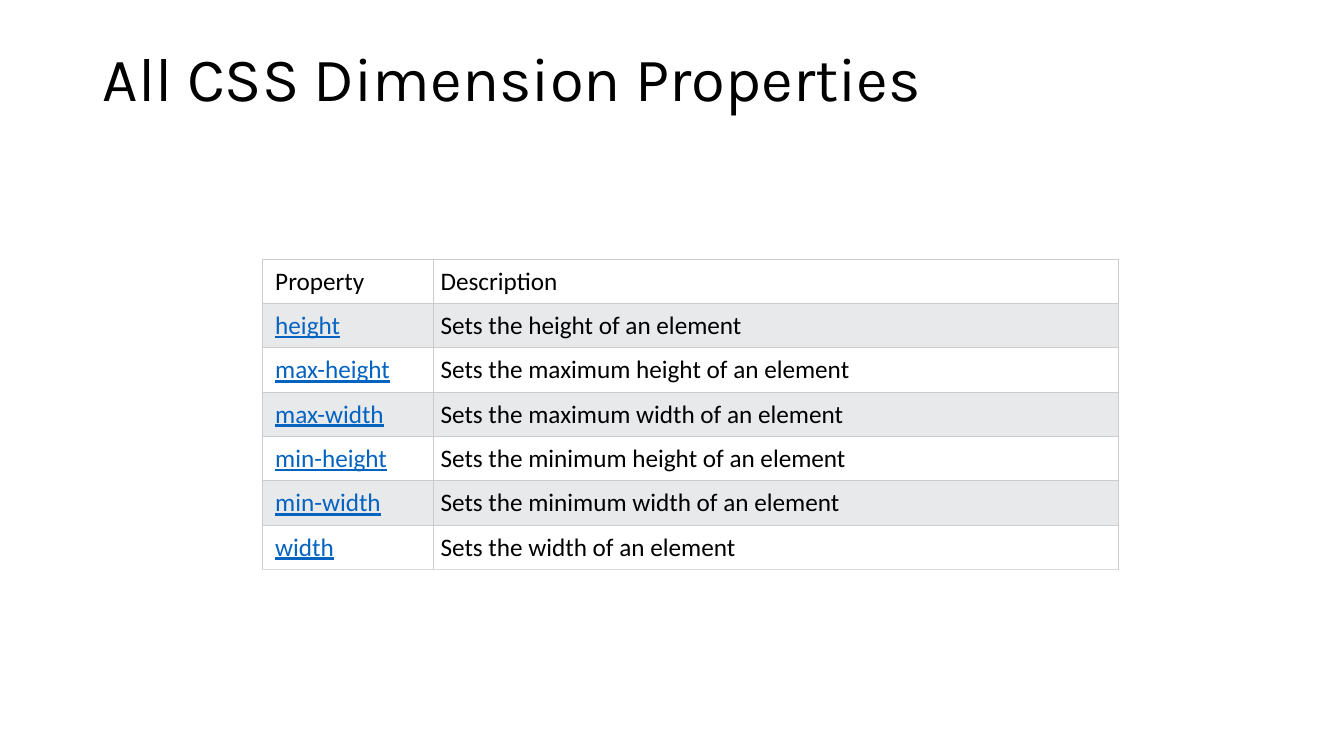
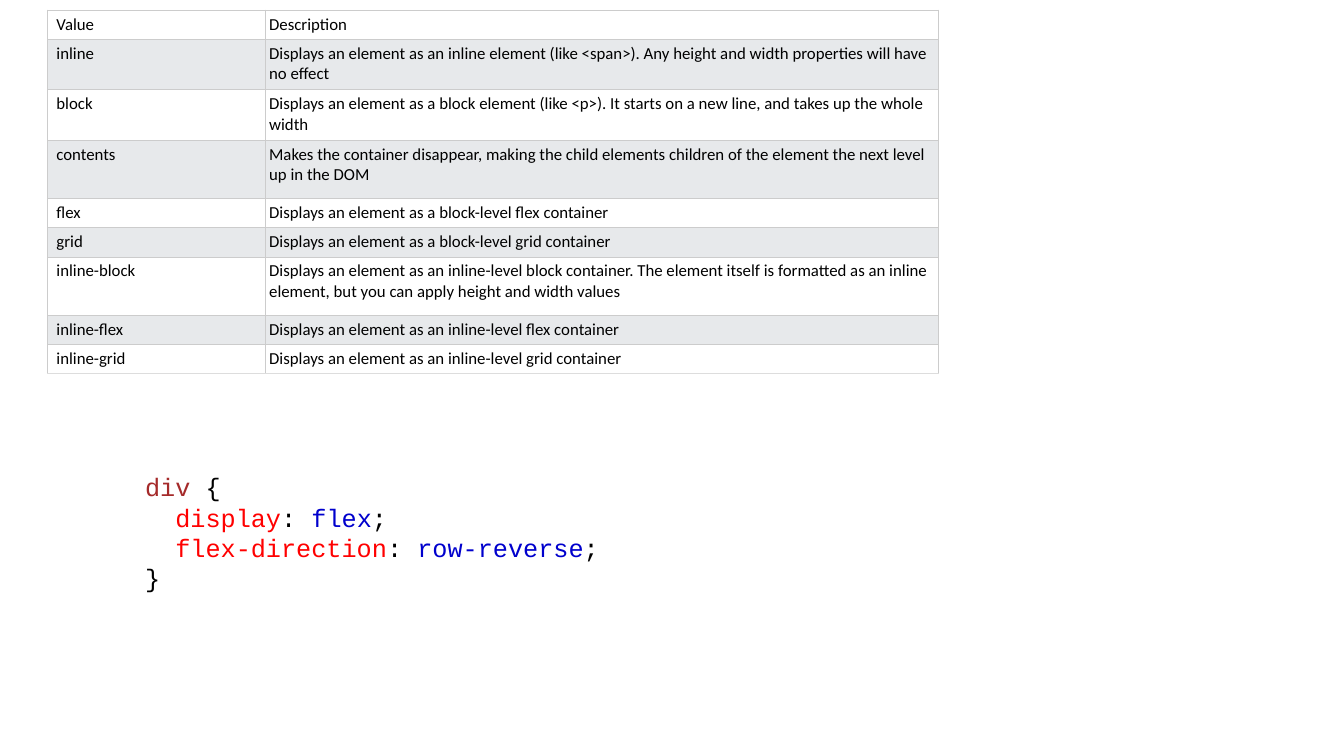
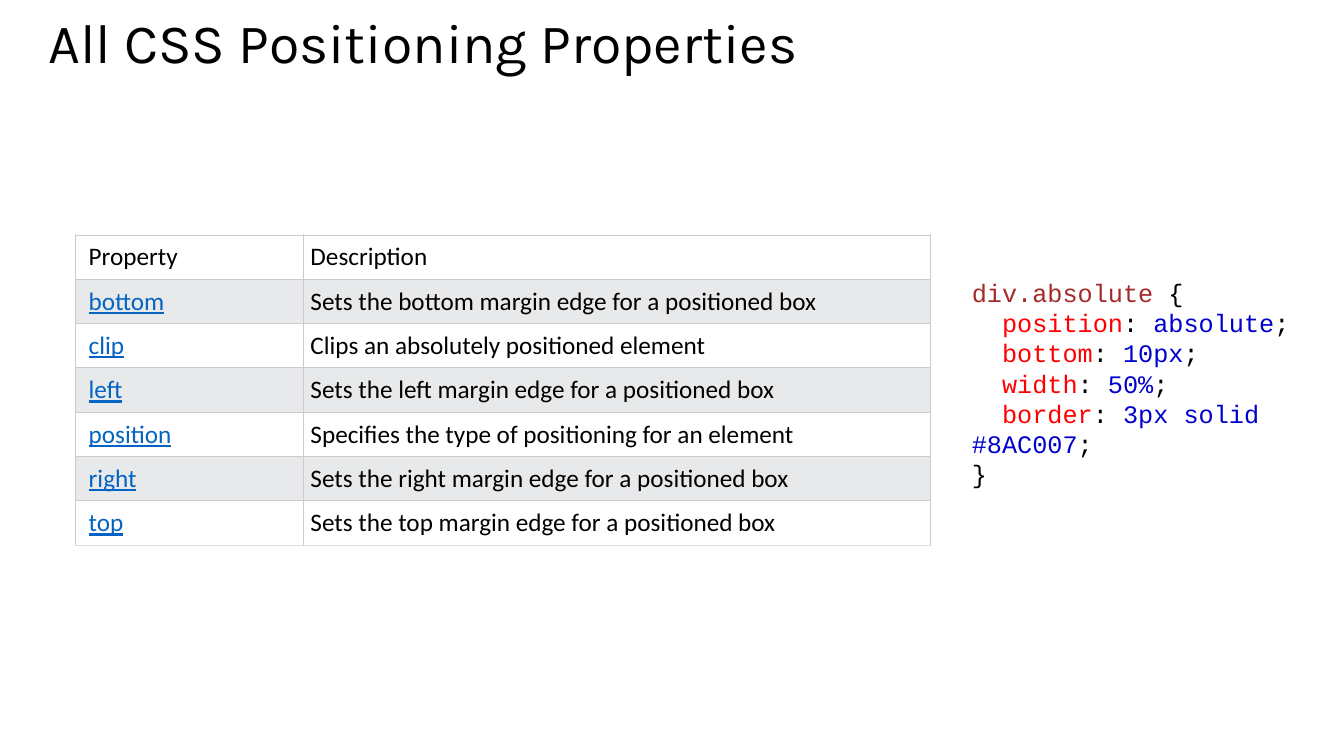
from lxml.etree import SubElement
from pptx import Presentation
from pptx.dml.color import RGBColor
from pptx.enum.text import MSO_AUTO_SIZE as AutoSize
from pptx.oxml.ns import qn
from pptx.util import Emu, Pt

PX = 9144  # 100 px to the inch
COLORS = {
    "text": "000000", "link": "0563C1", "white": "FFFFFF", "band": "E7E9EB",
    "border": "CCCCCC", "last_border": "DDDDDD",
    "selector": "A52A2A", "property": "FF0000", "value": "0000CD",
}
BODY, CODE, TITLE = "Calibri", "Courier New", "Karla"


def px(n):
    return Emu(n * PX)


def rgb(name):
    return RGBColor.from_string(COLORS[name])


def add_text(p, text, size=18, font=BODY, color="text", underline=None):
    r = p.add_run()
    r.text = text
    r.font.size = Pt(size)
    r.font.name = font
    r.font.color.rgb = rgb(color)
    r.font.underline = underline


def set_margins(target, left, top, right, bottom):
    target.margin_left, target.margin_top = px(left), px(top)
    target.margin_right, target.margin_bottom = px(right), px(bottom)


def add_box(s, box):
    tf = s.shapes.add_textbox(*map(px, box)).text_frame
    tf.word_wrap = True
    return tf


def add_title(s, box, text, size=44, top=0):
    tf = add_box(s, box)
    set_margins(tf, 10, top, 10, 5)
    p = tf.paragraphs[0]
    p.line_spacing = 0.9
    add_text(p, text, size, TITLE)


def set_borders(cell, bottom):
    tc_pr = cell._tc.get_or_add_tcPr()
    for side in "LRTB":
        ln = SubElement(tc_pr, qn(f"a:ln{side}"), w=str(Pt(0.6)))
        fill = SubElement(ln, qn("a:solidFill"))
        color = COLORS[bottom if side == "B" else "border"]
        SubElement(fill, qn("a:srgbClr"), val=color)


def add_grid(s, left, top, col_widths, rows, heights, size=18,
             margins=(7, 7, 7, 6), indent=13, links=False):
    """Banded two-column table; links styles the names below the header."""
    tbl = s.shapes.add_table(len(rows), len(col_widths), px(left), px(top),
                             px(sum(col_widths)), px(sum(heights))).table
    tbl.first_row = tbl.horz_banding = False
    for col, width in zip(tbl.columns, col_widths):
        col.width = px(width)
    for i, (row, height) in enumerate(zip(rows, heights)):
        tbl.rows[i].height = px(height)
        for j, text in enumerate(row):
            cell = tbl.cell(i, j)
            set_margins(cell, *(margins if j else (indent, *margins[1:])))
            last = i == len(rows) - 1
            set_borders(cell, "last_border" if last else "border")
            cell.fill.solid()
            cell.fill.fore_color.rgb = rgb("band" if i % 2 else "white")
            linked = links and i > 0 and j == 0
            add_text(cell.text_frame.paragraphs[0], text, size,
                     color="link" if linked else "text",
                     underline=linked or None)


def add_css_rule(s, box, selector, declarations):
    tf = add_box(s, box)
    tf.auto_size = AutoSize.SHAPE_TO_FIT_TEXT
    lines = [[(selector + " ", "selector"), ("{", "text")]]
    for prop, value in declarations.items():
        lines.append([("  " + prop, "property"), (":", "text"),
                      (" " + value, "value"), (";", "text")])
    lines.append([("}", "text")])
    for i, line in enumerate(lines):
        p = tf.add_paragraph() if i else tf.paragraphs[0]
        for text, color in line:
            add_text(p, text, font=CODE, color=color)


def dimension_slide(s):
    add_title(s, (92, 40, 1150, 145), "All CSS Dimension Properties", top=8)
    rows = [
        ("Property", "Description"),
        ("height", "Sets the height of an element"),
        ("max-height", "Sets the maximum height of an element"),
        ("max-width", "Sets the maximum width of an element"),
        ("min-height", "Sets the minimum height of an element"),
        ("min-width", "Sets the minimum width of an element"),
        ("width", "Sets the width of an element"),
    ]
    add_grid(s, 260, 257, (170, 679), rows, [44] * len(rows), links=True)


def display_slide(s):
    rows = [
        ("Value", "Description"),
        ("inline", "Displays an element as an inline element (like <span>). "
                   "Any height and width properties will have no effect"),
        ("block", "Displays an element as a block element (like <p>). "
                  "It starts on a new line, and takes up the whole width"),
        ("contents", "Makes the container disappear, making the child elements "
                     "children of the element the next level up in the DOM"),
        ("flex", "Displays an element as a block-level flex container"),
        ("grid", "Displays an element as a block-level grid container"),
        ("inline-block", "Displays an element as an inline-level block container. "
                         "The element itself is formatted as an inline element, "
                         "but you can apply height and width values"),
        ("inline-flex", "Displays an element as an inline-level flex container"),
        ("inline-grid", "Displays an element as an inline-level grid container"),
    ]
    add_grid(s, 47, 10, (216, 668), rows, (29, 50, 50, 58, 29, 29, 58, 29, 29),
             size=12, margins=(4, 4, 4, 4), indent=9)
    add_css_rule(s, (134, 463, 667, 131), "div",
                 {"display": "flex", "flex-direction": "row-reverse"})


def positioning_slide(s):
    add_title(s, (38, 15, 1050, 115), "All CSS Positioning Properties", size=39.6)
    rows = [
        ("Property", "Description"),
        ("bottom", "Sets the bottom margin edge for a positioned box"),
        ("clip", "Clips an absolutely positioned element"),
        ("left", "Sets the left margin edge for a positioned box"),
        ("position", "Specifies the type of positioning for an element"),
        ("right", "Sets the right margin edge for a positioned box"),
        ("top", "Sets the top margin edge for a positioned box"),
    ]
    add_grid(s, 75, 233, (226, 622), rows, [44] * len(rows), links=True)
    add_css_rule(s, (954, 270, 347, 222), "div.absolute",
                 {"position": "absolute", "bottom": "10px", "width": "50%",
                  "border": "3px solid #8AC007"})


def main():
    prs = Presentation()
    prs.slide_width, prs.slide_height = px(1333), px(750)
    for build in (dimension_slide, display_slide, positioning_slide):
        build(prs.slides.add_slide(prs.slide_layouts[6]))
    prs.save("out.pptx")


if __name__ == "__main__":
    main()
